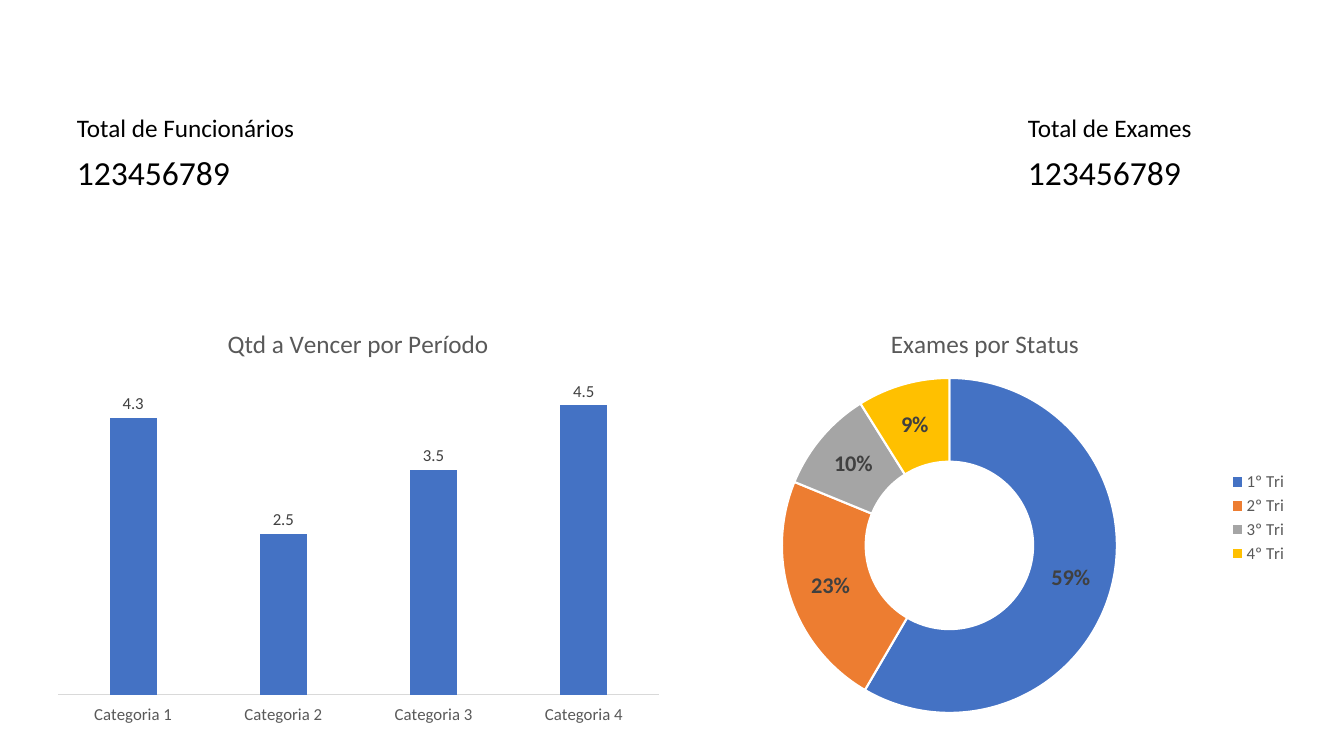
from lxml import etree
from pptx import Presentation
from pptx.chart.data import CategoryChartData
from pptx.dml.color import RGBColor
from pptx.enum.chart import XL_CHART_TYPE as ChartType
from pptx.enum.chart import XL_LABEL_POSITION as LabelPosition
from pptx.enum.chart import XL_LEGEND_POSITION as LegendPosition
from pptx.enum.chart import XL_TICK_LABEL_POSITION as TickLabels
from pptx.enum.chart import XL_TICK_MARK as TickMark
from pptx.enum.shapes import MSO_SHAPE as Shape
from pptx.enum.text import MSO_AUTO_SIZE as AutoSize
from pptx.oxml import parse_xml
from pptx.oxml.ns import nsdecls, qn
from pptx.util import Pt

FONT = "Calibri"
COLORS = {
    "white": "FFFFFF", "black": "000000", "label": "404040", "gray": "595959",
    "axis": "D9D9D9", "blue": "4472C4", "orange": "ED7D31",
    "silver": "A5A5A5", "gold": "FFC000",
}
SLIDE_SIZE = (1344, 756)
PANEL = (45, 95, 1253, 633)
CARDS = [
    (67, "Total de Funcionários", "123456789"),
    (1018, "Total de Exames", "123456789"),
]
CARD_TOP, CARD_WIDTH = 107, 259
CARD_LINES = [(40, 18), (50, 24)]  # height in px, text size in points
CHART_TOP, CHART_WIDTH, CHART_HEIGHT = 308, 626, 420
PERIODS = {
    "title": "Qtd a Vencer por Período",
    "kind": ChartType.COLUMN_CLUSTERED,
    "left": 45,
    "plot": (58, 373, 601, 322),
    "values": {"Categoria 1": 4.3, "Categoria 2": 2.5,
               "Categoria 3": 3.5, "Categoria 4": 4.5},
}
STATUS = {
    "title": "Exames por Status",
    "kind": ChartType.DOUGHNUT,
    "left": 672,
    "plot": (782, 378, 335, 335),
    "values": {"1º Tri": 59, "2º Tri": 23, "3º Tri": 10, "4º Tri": 9},
}
STATUS_COLORS = ["blue", "orange", "silver", "gold"]


def px(length):
    return round(length * 914400 / 100.8)


def color(name):
    return RGBColor.from_string(COLORS[name])


def style_font(font, size, name, bold=False):
    font.name, font.size, font.bold = FONT, Pt(size), bold
    font.color.rgb = color(name)


def fill_solid(fill, name):
    fill.solid()
    fill.fore_color.rgb = color(name)


def add_panel(slide):
    panel = slide.shapes.add_shape(Shape.RECTANGLE, *map(px, PANEL))
    panel.shadow.inherit = False
    fill_solid(panel.fill, "white")
    shade = panel.fill._xPr.find(qn("a:solidFill"))[0]
    etree.SubElement(shade, qn("a:alpha")).set("val", "90000")
    panel.line.color.rgb = color("white")
    panel.line.width = Pt(1)


def add_card(slide, left, *texts):
    top = CARD_TOP
    for text, (height, size) in zip(texts, CARD_LINES):
        box = slide.shapes.add_textbox(*map(px, (left, top, CARD_WIDTH, height)))
        frame = box.text_frame
        frame.word_wrap = True
        frame.auto_size = AutoSize.SHAPE_TO_FIT_TEXT
        frame.text = text
        style_font(frame.paragraphs[0].runs[0].font, size, "black")
        top += height


def place_plot(chart, content):
    """Fix the inner plot area, given in slide px, as fractions of the chart."""
    left, top, width, height = content["plot"]
    fractions = {
        "x": (left - content["left"]) / CHART_WIDTH,
        "y": (top - CHART_TOP) / CHART_HEIGHT,
        "w": width / CHART_WIDTH,
        "h": height / CHART_HEIGHT,
    }
    sizes = "".join(f'<c:{key} val="{value:.4f}"/>' for key, value in fractions.items())
    layout = parse_xml(
        f'<c:layout {nsdecls("c")}><c:manualLayout><c:layoutTarget val="inner"/>'
        f'<c:xMode val="edge"/><c:yMode val="edge"/>{sizes}</c:manualLayout></c:layout>')
    plot_area = chart._chartSpace.chart.plotArea
    for old in plot_area.findall(qn("c:layout")):
        plot_area.remove(old)
    plot_area.insert(0, layout)


def add_chart(slide, content):
    data = CategoryChartData()
    data.categories = list(content["values"])
    data.add_series("Series 1", list(content["values"].values()))
    frame = (content["left"], CHART_TOP, CHART_WIDTH, CHART_HEIGHT)
    chart = slide.shapes.add_chart(content["kind"], *map(px, frame), data).chart
    style_font(chart.font, 10, "black")
    chart.has_title = True
    title = chart.chart_title
    title.include_in_layout = False
    title.text_frame.text = content["title"]
    style_font(title.text_frame.paragraphs[0].runs[0].font, 18, "gray")
    chart.has_legend = False
    place_plot(chart, content)
    chart.plots[0].vary_by_categories = content["kind"] == ChartType.DOUGHNUT
    return chart


def add_period_chart(slide):
    chart = add_chart(slide, PERIODS)
    plot = chart.plots[0]
    plot.gap_width, plot.overlap = 219, -27
    series = plot.series[0]
    fill_solid(series.format.fill, "blue")
    labels = series.data_labels
    labels.show_value = True
    labels.position = LabelPosition.OUTSIDE_END
    style_font(labels.font, 12, "label")

    categories = chart.category_axis
    categories.major_tick_mark = categories.minor_tick_mark = TickMark.NONE
    categories.tick_label_position = TickLabels.LOW
    style_font(categories.tick_labels.font, 12, "gray")
    categories.format.line.color.rgb = color("axis")
    categories.format.line.width = Pt(0.75)

    values = chart.value_axis
    values.minimum_scale, values.maximum_scale = 0, 5
    values.has_major_gridlines = False
    values.visible = False


def add_status_chart(slide):
    chart = add_chart(slide, STATUS)
    chart.has_legend = True
    chart.legend.position = LegendPosition.RIGHT
    chart.legend.include_in_layout = False
    style_font(chart.legend.font, 12, "gray")
    series = chart.plots[0].series[0]
    for index, name in enumerate(STATUS_COLORS):
        slice_format = series.points[index].format
        fill_solid(slice_format.fill, name)
        slice_format.line.color.rgb = color("white")
        slice_format.line.width = Pt(1.5)
    labels = series.data_labels
    labels.show_value = True
    labels.number_format = '0"%"'
    labels.number_format_is_linked = False
    style_font(labels.font, 16, "label", bold=True)


def main():
    presentation = Presentation()
    presentation.slide_width, presentation.slide_height = map(px, SLIDE_SIZE)
    slide = presentation.slides.add_slide(presentation.slide_layouts[6])
    add_panel(slide)
    add_status_chart(slide)
    add_period_chart(slide)
    for card in CARDS:
        add_card(slide, *card)
    presentation.save("out.pptx")


if __name__ == "__main__":
    main()
